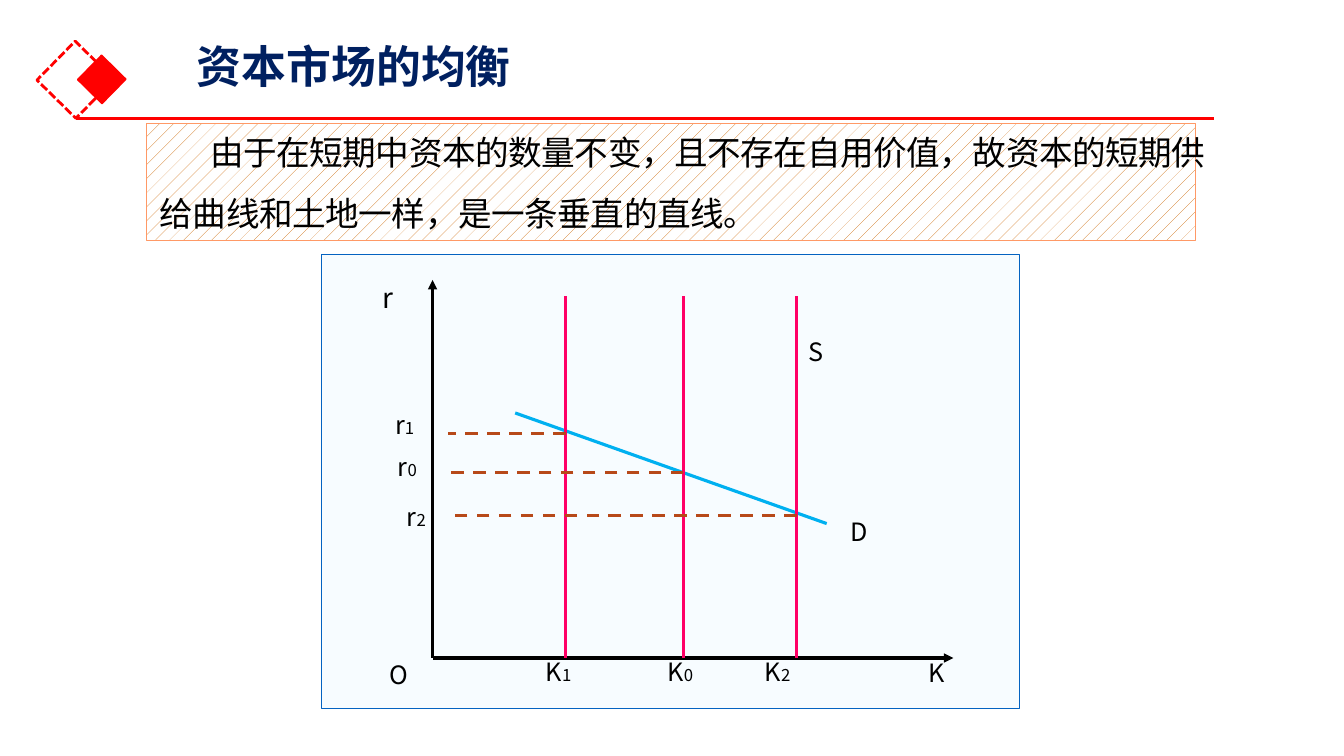
from dataclasses import dataclass

from pptx import Presentation
from pptx.dml.color import RGBColor
from pptx.enum.dml import MSO_LINE, MSO_PATTERN
from pptx.enum.shapes import MSO_CONNECTOR, MSO_SHAPE
from pptx.enum.text import MSO_ANCHOR, MSO_AUTO_SIZE, PP_ALIGN
from pptx.oxml.ns import qn
from pptx.util import Pt


@dataclass(frozen=True)
class Theme:
    font: str = "Noto Sans CJK SC"
    navy: str = "002060"
    black: str = "000000"
    white: str = "FFFFFF"
    red: str = "FF0000"
    hatch: str = "CC6600"
    hatch_border: str = "FF9966"
    panel: str = "F7FCFF"
    panel_border: str = "0563C1"
    supply: str = "FF0066"
    demand: str = "00B0F0"
    guide: str = "B74919"
    title_size: float = 32
    body_size: float = 24
    axis_size: float = 20
    label_size: float = 18
    subscript_size: float = 12
    line_width: float = 2.25


THEME = Theme()


def color(value):
    return RGBColor.from_string(value)


def add_run(paragraph, text, *, size, fill=THEME.black, bold=False, spacing=None):
    run = paragraph.add_run()
    run.text = text
    run.font.size = Pt(size)
    run.font.bold = bold
    run.font.name = THEME.font
    run.font.color.rgb = color(fill)
    properties = run._r.get_or_add_rPr()
    east_asian = properties.makeelement(qn("a:ea"), {"typeface": THEME.font})
    properties.find(qn("a:latin")).addnext(east_asian)
    if spacing is not None:
        properties.set("spc", str(round(spacing * 100)))


def add_box(slide, left, top, width, height, *, line, line_width, fill=None,
            rotation=0, dash=None):
    shape = slide.shapes.add_shape(
        MSO_SHAPE.RECTANGLE, Pt(left), Pt(top), Pt(width), Pt(height))
    shape.shadow.inherit = False
    shape.rotation = rotation
    if fill:
        shape.fill.solid()
        shape.fill.fore_color.rgb = color(fill)
    else:
        shape.fill.background()
    shape.line.color.rgb = color(line)
    shape.line.width = Pt(line_width)
    if dash:
        shape.line.dash_style = dash
    return shape


def add_line(slide, start, end, *, line, dash=None, arrow=False):
    connector = slide.shapes.add_connector(
        MSO_CONNECTOR.STRAIGHT, *(Pt(value) for value in (*start, *end)))
    connector.line.color.rgb = color(line)
    connector.line.width = Pt(THEME.line_width)
    if dash:
        connector.line.dash_style = dash
    if arrow:
        outline = connector.line._get_or_add_ln()
        outline.append(outline.makeelement(qn("a:tailEnd"), {"type": "triangle"}))
    properties = connector._element.spPr
    properties.append(properties.makeelement(qn("a:effectLst"), {}))


def add_label(slide, center_x, center_y, text, *, subscript="",
              size=THEME.label_size):
    """Centre a short label, with an optional subscript, on a point."""
    width, height = 42, 36
    box = slide.shapes.add_textbox(
        Pt(center_x - width / 2), Pt(center_y - height / 2), Pt(width), Pt(height))
    frame = box.text_frame
    frame.word_wrap = True
    frame.vertical_anchor = MSO_ANCHOR.MIDDLE
    frame.margin_left = frame.margin_right = 0
    paragraph = frame.paragraphs[0]
    paragraph.alignment = PP_ALIGN.CENTER
    add_run(paragraph, text, size=size)
    if subscript:
        add_run(paragraph, subscript, size=THEME.subscript_size)


def add_header(slide, left, top, width, height):
    """Place the title, the two diamonds and the rule under them."""
    add_box(slide, left, top, 39, 39, line=THEME.red, line_width=2,
            rotation=314.5, dash=MSO_LINE.SQUARE_DOT)
    add_box(slide, left + 26, top + 7, 24.5, 24.5, fill=THEME.red,
            line=THEME.red, line_width=1, rotation=314.5)
    add_line(slide, (left + 19.5, top + height), (left + width, top + height),
             line=THEME.red)
    title = slide.shapes.title
    title.left, title.top = Pt(left + 99), Pt(top - 9)
    title.width, title.height = Pt(826), Pt(42)
    frame = title.text_frame
    frame.auto_size = MSO_AUTO_SIZE.NONE
    frame.vertical_anchor = MSO_ANCHOR.MIDDLE
    frame.margin_top = frame.margin_bottom = 0
    paragraph = frame.paragraphs[0]
    paragraph.alignment = PP_ALIGN.LEFT
    paragraph.line_spacing = 0.9
    add_run(paragraph, "资本市场的均衡", size=THEME.title_size, fill=THEME.navy,
            bold=True)


def add_statement(slide, left, top, width, height):
    """Place the hatched band and the sentence over it."""
    band = add_box(slide, left, top, width, height,
                   line=THEME.hatch_border, line_width=0.25)
    band.fill.patterned()
    band.fill.pattern = MSO_PATTERN.PERCENT_5
    band.fill.fore_color.rgb = color(THEME.hatch)
    band.fill.back_color.rgb = color(THEME.white)
    box = slide.shapes.add_textbox(
        Pt(left + 2.5), Pt(top - 11.5), Pt(width + 13.5), Pt(89))
    box.text_frame.word_wrap = True
    paragraph = box.text_frame.paragraphs[0]
    paragraph.line_spacing = 1.5
    paragraph._p.get_or_add_pPr().set("indent", str(Pt(36)))
    add_run(paragraph,
            "由于在短期中资本的数量不变，且不存在自用价值，故资本的短期供给曲线和土地一样，是一条垂直的直线。",
            size=THEME.body_size, spacing=-0.3)


def add_market_diagram(slide, left, top, width, height):
    """Place the panel with axes, demand curve and three supply curves."""
    add_box(slide, left, top, width, height, fill=THEME.panel,
            line=THEME.panel_border, line_width=0.75)

    def at(x, y):
        return left + x, top + y

    axis_x, axis_y = 79, 288
    for end in ((axis_x, 18), (451, axis_y)):
        add_line(slide, at(axis_x, axis_y), at(*end), line=THEME.black, arrow=True)
    add_line(slide, at(138, 113), at(360.5, 192), line=THEME.demand)

    # subscript, quantity x, rate y, x of the K label, centre of the r label
    equilibria = (
        ("1", 174, 127.5, 169, (59, 121.5)),
        ("0", 258, 155.5, 256, (61, 151)),
        ("2", 339, 186.5, 325.5, (67.5, 187)),
    )
    for subscript, quantity, rate, quantity_label_x, rate_label in equilibria:
        add_line(slide, at(quantity, axis_y), at(quantity, 29.5), line=THEME.supply)
        add_line(slide, at(quantity, rate), at(axis_x + 11, rate),
                 line=THEME.guide, dash=MSO_LINE.DASH)
        add_label(slide, *at(quantity_label_x, 297.5), "K", subscript=subscript)
        add_label(slide, *at(*rate_label), "r", subscript=subscript)

    add_label(slide, *at(47, 30.5), "r", size=THEME.axis_size)
    for text, x, y in (("K", 439, 298), ("O", 55, 300),
                       ("S", 353, 69), ("D", 384, 197.5)):
        add_label(slide, *at(x, y), text)


def main():
    presentation = Presentation()
    presentation.slide_width, presentation.slide_height = Pt(960), Pt(540)
    slide = presentation.slides.add_slide(presentation.slide_layouts[5])
    add_statement(slide, 104.5, 88, 749, 83.5)
    add_market_diagram(slide, 230, 182, 498, 324)
    add_header(slide, 34.5, 37.5, 832.5, 47)
    presentation.save("out.pptx")


if __name__ == "__main__":
    main()
